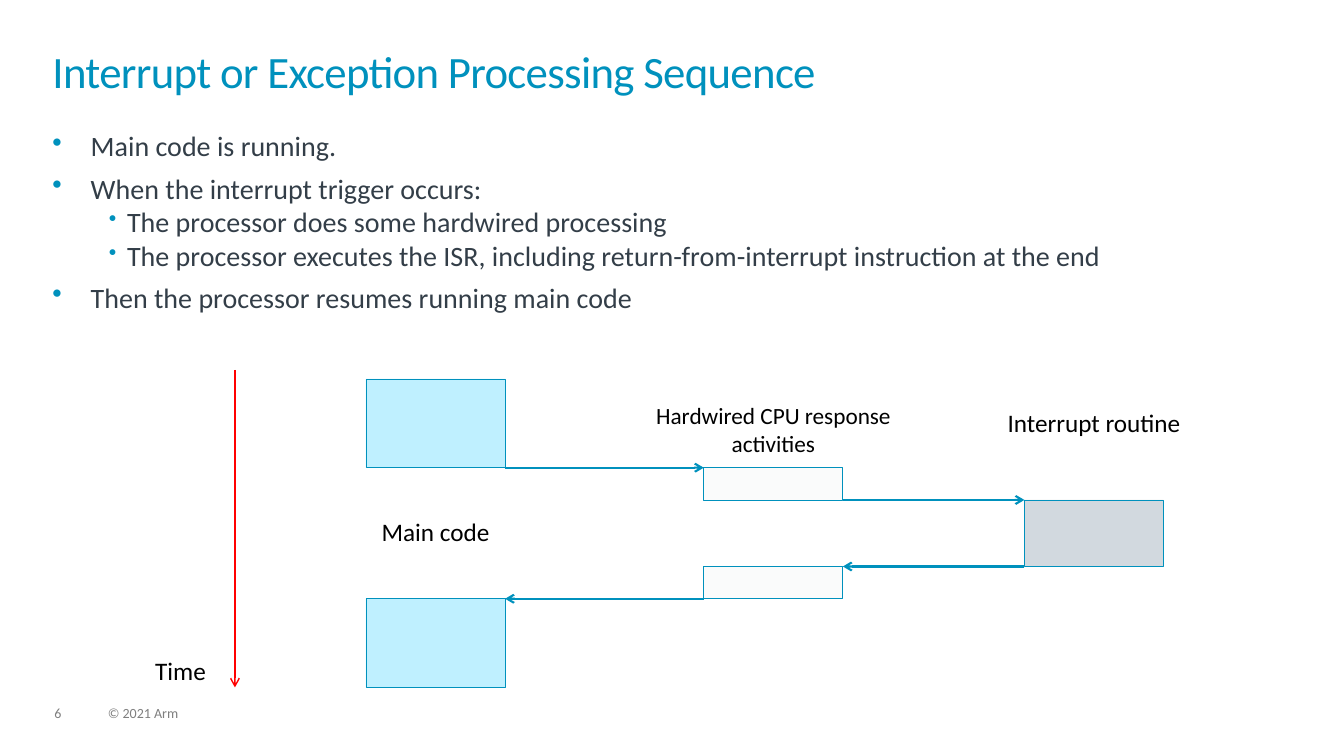
from dataclasses import dataclass

from pptx import Presentation
from pptx.dml.color import RGBColor as Rgb
from pptx.enum.shapes import MSO_CONNECTOR as Link, MSO_SHAPE as Shape
from pptx.enum.text import PP_ALIGN as Align
from pptx.oxml.ns import qn
from pptx.util import Inches, Pt
from lxml.etree import SubElement


@dataclass(frozen=True)
class Theme:
    font: str = "Calibri"
    accent: str = "0091BD"
    ink: str = "333E48"
    label: str = "000000"
    muted: str = "7F7F7F"
    time: str = "FF0000"
    main: str = "BFF0FF"
    cpu: str = "FAFBFB"
    isr: str = "D2D9DF"
    title_size: float = 32
    body_size: float = 20
    label_size: float = 18
    small_size: float = 16.6
    foot_size: float = 10


theme = Theme()

POINTS = [
    (0, "Main code is running."),
    (0, "When the interrupt trigger occurs:"),
    (1, "The processor does some hardwired processing"),
    (1, "The processor executes the ISR, including return-from-interrupt instruction at the end"),
    (0, "Then the processor resumes running main code"),
]

# Each step in time: column, height, fill
STEPS = [
    (0, 0.88, theme.main),
    (1, 0.32, theme.cpu),
    (2, 0.66, theme.isr),
    (1, 0.32, theme.cpu),
    (0, 0.88, theme.main),
]


def style(part, size, color):
    for run in part.runs:
        run.font.name = theme.font
        run.font.size = Pt(size)
        run.font.color.rgb = Rgb.from_string(color)


def add_frame(slide, left, top, width, height):
    box = slide.shapes.add_textbox(*map(Inches, (left, top, width, height)))
    frame = box.text_frame
    frame.word_wrap = True
    frame.margin_left = frame.margin_right = 0
    frame.margin_top = frame.margin_bottom = 0
    return frame


def add_text(slide, box, text, size, color, align=Align.LEFT, spacing=1.0):
    frame = add_frame(slide, *box)
    frame.text = text
    part = frame.paragraphs[0]
    part.alignment = align
    part.line_spacing = spacing
    style(part, size, color)
    return part


def add_label(slide, box, text, size=theme.label_size):
    add_text(slide, box, text, size, theme.label, Align.CENTER)


def add_arrow(slide, start, end, color, width):
    line = slide.shapes.add_connector(Link.STRAIGHT, *map(Inches, (*start, *end)))
    line.line.color.rgb = Rgb.from_string(color)
    line.line.width = Pt(width)
    SubElement(line.line._get_or_add_ln(), qn("a:tailEnd"), type="arrow")
    SubElement(line._element.spPr, qn("a:effectLst"))


def add_bullet(part, level):
    props = part._p.get_or_add_pPr()
    margin, indent = [(0.38, -0.38), (0.74, -0.18)][level]
    props.set("marL", str(Inches(margin)))
    props.set("indent", str(Inches(indent)))
    color = SubElement(props, qn("a:buClr"))
    SubElement(color, qn("a:srgbClr"), val=theme.accent)
    if level:
        SubElement(props, qn("a:buSzPct"), val="80000")
    SubElement(props, qn("a:buChar"), char="•")


def add_title(slide, left, top, width, height):
    part = add_text(slide, (left, top, width, height),
                    "Interrupt or Exception Processing Sequence",
                    theme.title_size, theme.accent, spacing=0.85)
    part.runs[0].font._element.set("spc", "-50")


def add_body(slide, left, top, width, height):
    frame = add_frame(slide, left, top, width, height)
    for index, (level, text) in enumerate(POINTS):
        part = frame.add_paragraph() if index else frame.paragraphs[0]
        part.text = text
        part.level = level
        add_bullet(part, level)
        part.space_before = Pt(6 if index and not level else 0)
        style(part, theme.body_size, theme.ink)


def add_flow(slide, left, top, width, height):
    wide = 1.38
    columns = [left, left + 3.35, left + width - wide]

    # Blocks stacked in time order
    tops = []
    y = top
    for column, tall, fill in STEPS:
        block = slide.shapes.add_shape(
            Shape.RECTANGLE, *map(Inches, (columns[column], y, wide, tall)))
        block.shadow.inherit = False
        block.fill.solid()
        block.fill.fore_color.rgb = Rgb.from_string(fill)
        block.line.color.rgb = Rgb.from_string(theme.accent)
        block.line.width = Pt(0.5)
        tops.append(y)
        y += tall

    # An arrow along each boundary between steps
    for (here, *_), (there, *_), y in zip(STEPS, STEPS[1:], tops[1:]):
        start, end = columns[here], columns[there]
        if here < there:
            start += wide
        else:
            end += wide
        add_arrow(slide, (start, y), (end, y), theme.accent, 1.5)

    # Column labels
    add_label(slide, (left + 0.11, top + 1.36, 1.16, 0.33), "Main code")
    add_label(slide, (left + 2.59, top + 0.22, 2.9, 0.5),
              "Hardwired CPU response activities", theme.small_size)
    add_label(slide, (left + 6.26, top + 0.28, 1.92, 0.33), "Interrupt routine")


def add_time(slide, left, top, width, height):
    right, bottom = left + width, top + height
    add_arrow(slide, (right, top), (right, bottom), theme.time, 1)
    add_label(slide, (left, bottom - 0.32, 0.54, 0.32), "Time")


def add_footer(slide, left, top, width, height):
    for shift, wide, text in [(0, 0.34, "6"), (0.53, width - 0.53, "© 2021 Arm")]:
        add_text(slide, (left + shift, top, wide, height), text,
                 theme.foot_size, theme.muted, spacing=0.9)


def main():
    deck = Presentation()
    deck.slide_width, deck.slide_height = Inches(13.33), Inches(7.5)
    slide = deck.slides.add_slide(deck.slide_layouts[6])
    add_footer(slide, 0.54, 7.01, 5.6, 0.15)
    add_title(slide, 0.52, 0.52, 12.28, 0.72)
    add_body(slide, 0.52, 1.28, 12.28, 2.2)
    add_flow(slide, 3.63, 3.76, 7.91, 3.06)
    add_time(slide, 1.52, 3.67, 0.81, 3.15)
    deck.save("out.pptx")


if __name__ == "__main__":
    main()
